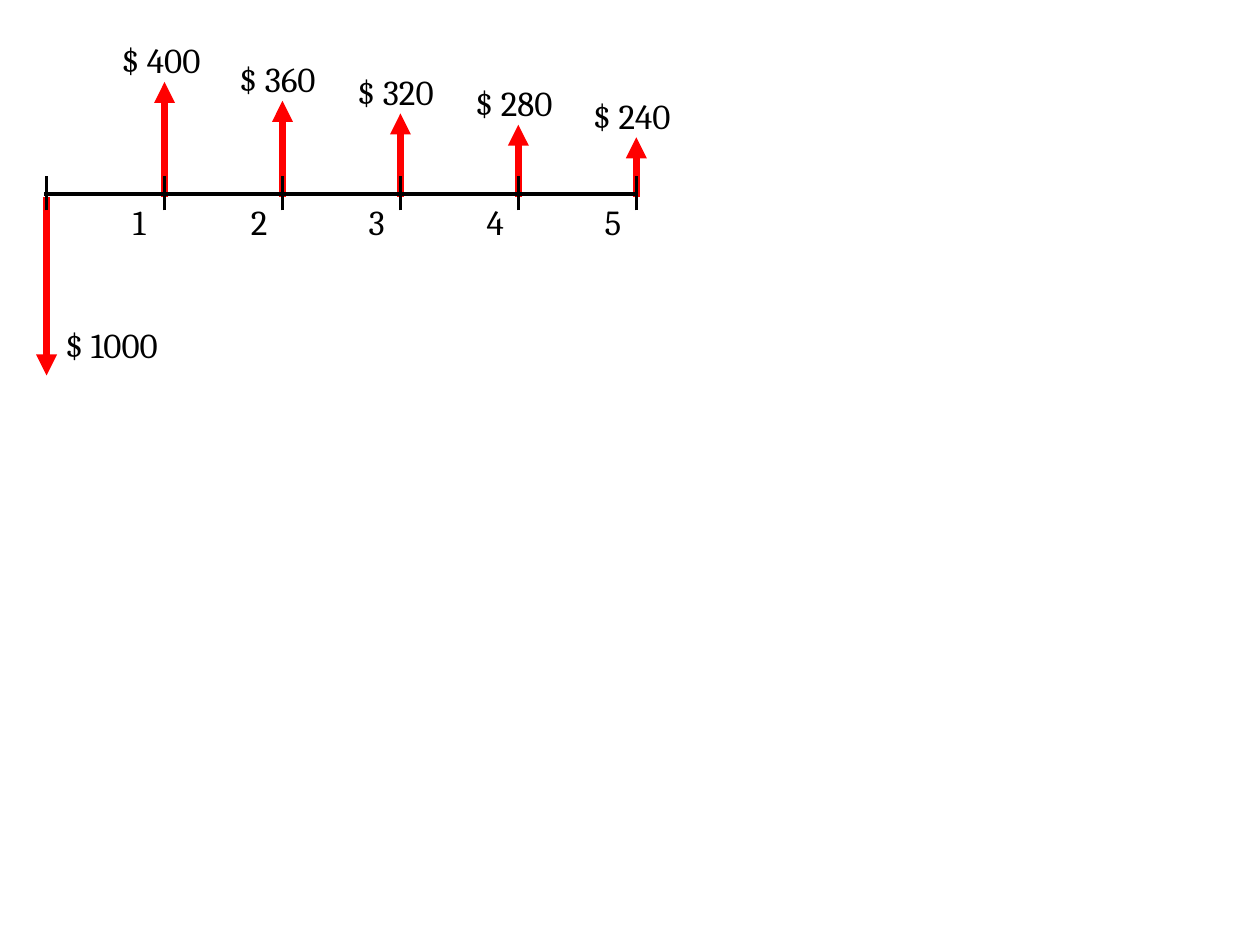
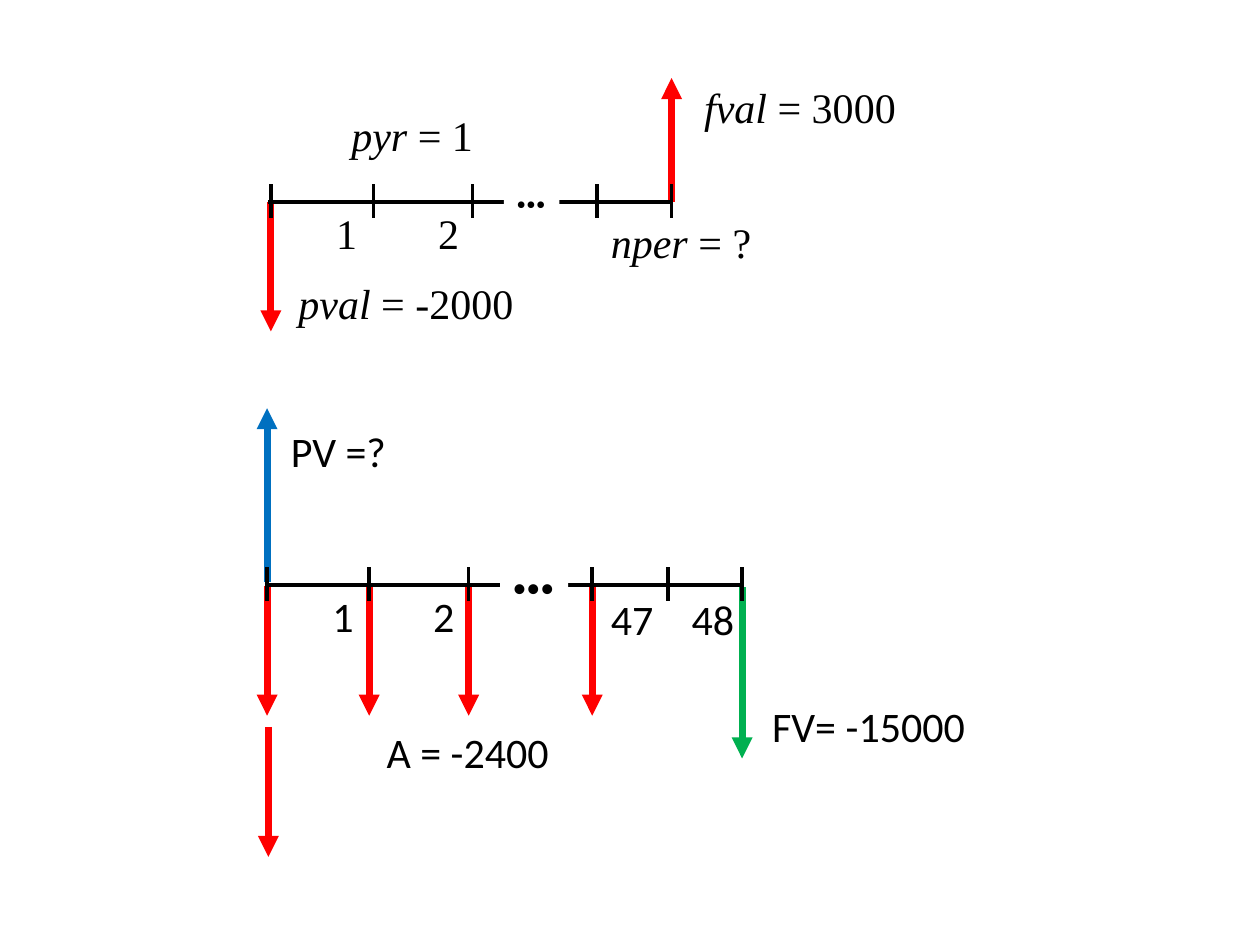
from dataclasses import dataclass

from lxml.etree import SubElement
from pptx import Presentation
from pptx.dml.color import RGBColor
from pptx.enum.shapes import MSO_CONNECTOR as Link, MSO_SHAPE as Preset
from pptx.enum.text import MSO_ANCHOR as Anchor, MSO_AUTO_SIZE as Fit, PP_ALIGN as Align
from pptx.oxml.ns import qn
from pptx.util import Inches, Pt

SLIDE_WIDTH, SLIDE_HEIGHT = Inches(10), Inches(7.5)
COLUMNS, ROWS = 100, 75
COLORS = {"ink": "000000", "paper": "FFFFFF", "payment": "FF0000",
          "present": "0070C0", "future": "00B050"}
LOAN_STYLE = {"name": "Cambria", "size": Pt(20)}
GROWTH_STYLE = {"name": "Times New Roman", "size": Pt(24)}
LEASE_STYLE = {"name": "Calibri", "size": Pt(24)}
FRAME_FORMAT = {"auto_size": Fit.SHAPE_TO_FIT_TEXT, "vertical_anchor": Anchor.TOP}
AXIS_WEIGHT, TICK_WEIGHT, FLOW_WEIGHT = 2.25, 2, 4
TICK_UP, TICK_DOWN = -1.4, 1.3
LOAN_ROW, FORMULA_ROW = 4.4, 5


@dataclass
class Box:
    left: float
    top: float
    width: float
    height: float
    axis: float

    def point(self, column, row):
        return (int((self.left + column) * SLIDE_WIDTH / COLUMNS),
                int((self.top + self.axis + row) * SLIDE_HEIGHT / ROWS))

    def area(self, column, row, width, height):
        return (*self.point(column, row),
                int(width * SLIDE_WIDTH / COLUMNS), int(height * SLIDE_HEIGHT / ROWS))


def color(name):
    return RGBColor.from_string(COLORS[name])


def apply(target, values):
    for key, value in values.items():
        setattr(target, key, value)


def draw_line(slide, box, start, end, ink, weight, arrow=False):
    connector = slide.shapes.add_connector(Link.STRAIGHT, *box.point(*start), *box.point(*end))
    connector.line.width = Pt(weight)
    connector.line.color.rgb = color(ink)
    properties = connector._element.spPr
    if arrow:
        SubElement(properties.find(qn("a:ln")), qn("a:tailEnd"), type="triangle")
    SubElement(properties, qn("a:effectLst"))


def write(frame, runs, style, wrap=False):
    apply(frame, FRAME_FORMAT)
    frame.word_wrap = wrap
    paragraph = frame.paragraphs[0]
    paragraph.alignment = Align.LEFT
    for text, italic in runs:
        run = paragraph.add_run()
        run.text = text
        apply(run.font, {**style, "italic": italic})
        run.font.color.rgb = color("ink")


def add_label(slide, box, area, text, style, variable="", wrap=False):
    label = slide.shapes.add_textbox(*box.area(*area))
    runs = [(part, italic) for part, italic in ((variable, True), (text, False)) if part]
    write(label.text_frame, runs, style, wrap)


def add_gap(slide, box, width, style):
    gap = slide.shapes.add_shape(Preset.RECTANGLE, *box.area(18.5, -1.7, width, 3.7))
    gap.shadow.inherit = False
    gap.fill.solid()
    gap.fill.fore_color.rgb = color("paper")
    gap.line.fill.background()
    write(gap.text_frame, [("•••", False)], {**style, "size": Pt(16)})


def draw_timeline(slide, box, ticks, flows):
    for column, start, end, ink in flows:
        draw_line(slide, box, (column, start), (column, end), ink, FLOW_WEIGHT, arrow=True)
    draw_line(slide, box, (-0.2, 0), (box.width + 0.1, 0), "ink", AXIS_WEIGHT)
    for tick in ticks:
        draw_line(slide, box, (tick, TICK_DOWN), (tick, TICK_UP), "ink", TICK_WEIGHT)


def place_loan(slide, box):
    incomes = [(400, 8.9), (360, 7.4), (320, 6.4), (280, 5.5), (240, 4.5)]
    period = box.width / len(incomes)
    ticks = [period * year for year in range(len(incomes) + 1)]
    flows = [(tick, 0.2, -rise, "payment") for tick, (_, rise) in zip(ticks[1:], incomes)]
    draw_timeline(slide, box, ticks, flows + [(0, 0.2, 14.4, "payment")])
    for year, (amount, rise) in enumerate(incomes, 1):
        add_label(slide, box, (ticks[year] - 3.5, 0, 3.6, LOAN_ROW), str(year), LOAN_STYLE)
        add_label(slide, box, (ticks[year] - 4.4, -rise - 3.9, 9.1, LOAN_ROW),
                  f"$ {amount}", LOAN_STYLE, wrap=True)
    add_label(slide, box, (0.5, 9.8, 10.5, LOAN_ROW), "$ 1000", LOAN_STYLE, wrap=True)


def place_growth(slide, box):
    draw_timeline(slide, box, [0, 8.15, 16, 25.9, box.width],
                  [(box.width, 0, -9.8, "payment"), (0, 0, 10.3, "payment")])
    add_gap(slide, box, 4.4, GROWTH_STYLE)
    for column, row, width, variable, text in [
            (4.2, 0, 3.7, "", "1"), (12.3, 0, 3.7, "", "2"),
            (26, 0.7, 13.3, "nper ", "= ?"), (1.2, 5.5, 19.2, "pval", " = -2000"),
            (33.4, -10, 17.4, "fval ", "= 3000"), (5.4, -7.8, 11.8, "pyr ", "= 1")]:
        add_label(slide, box, (column, row, width, FORMULA_ROW), text, GROWTH_STYLE, variable)


def place_lease(slide, box):
    ticks = [0, 8.1, 16, 25.8, 31.8, box.width]
    flows = [(0, -0.2, -14, "present"), (box.width, 0.2, 13.8, "future")]
    flows += [(tick, 0.1, 10.4, "payment") for tick in ticks[:4]]
    flows.append((0.1, 11.3, 21.6, "payment"))
    draw_timeline(slide, box, ticks, flows)
    add_gap(slide, box, 5.4, LEASE_STYLE)
    for column, row, width, text in [
            (4.2, 0, 3.7, "1"), (12.2, 0, 3.7, "2"), (26.3, 0.2, 5.4, "47"),
            (32.7, 0.2, 5.4, "48"), (0.9, -13.1, 9.6, "PV =?"),
            (39.1, 8.7, 17.4, "FV= -15000"), (8.5, 10.8, 15, "A = -2400")]:
        add_label(slide, box, (column, row, width, FORMULA_ROW), text, LEASE_STYLE)


def main():
    deck = Presentation()
    apply(deck, {"slide_width": SLIDE_WIDTH, "slide_height": SLIDE_HEIGHT})
    blank = deck.slide_layouts[6]
    loan_slide, value_slide = (deck.slides.add_slide(blank) for _ in range(2))
    place_loan(loan_slide, Box(3.7, 2.6, 46.8, 27.2, axis=12.8))
    place_growth(value_slide, Box(21.5, 6, 31.8, 20.5, axis=10))
    place_lease(value_slide, Box(21.2, 32.4, 37.7, 35.6, axis=14))
    deck.save("out.pptx")


if __name__ == "__main__":
    main()
